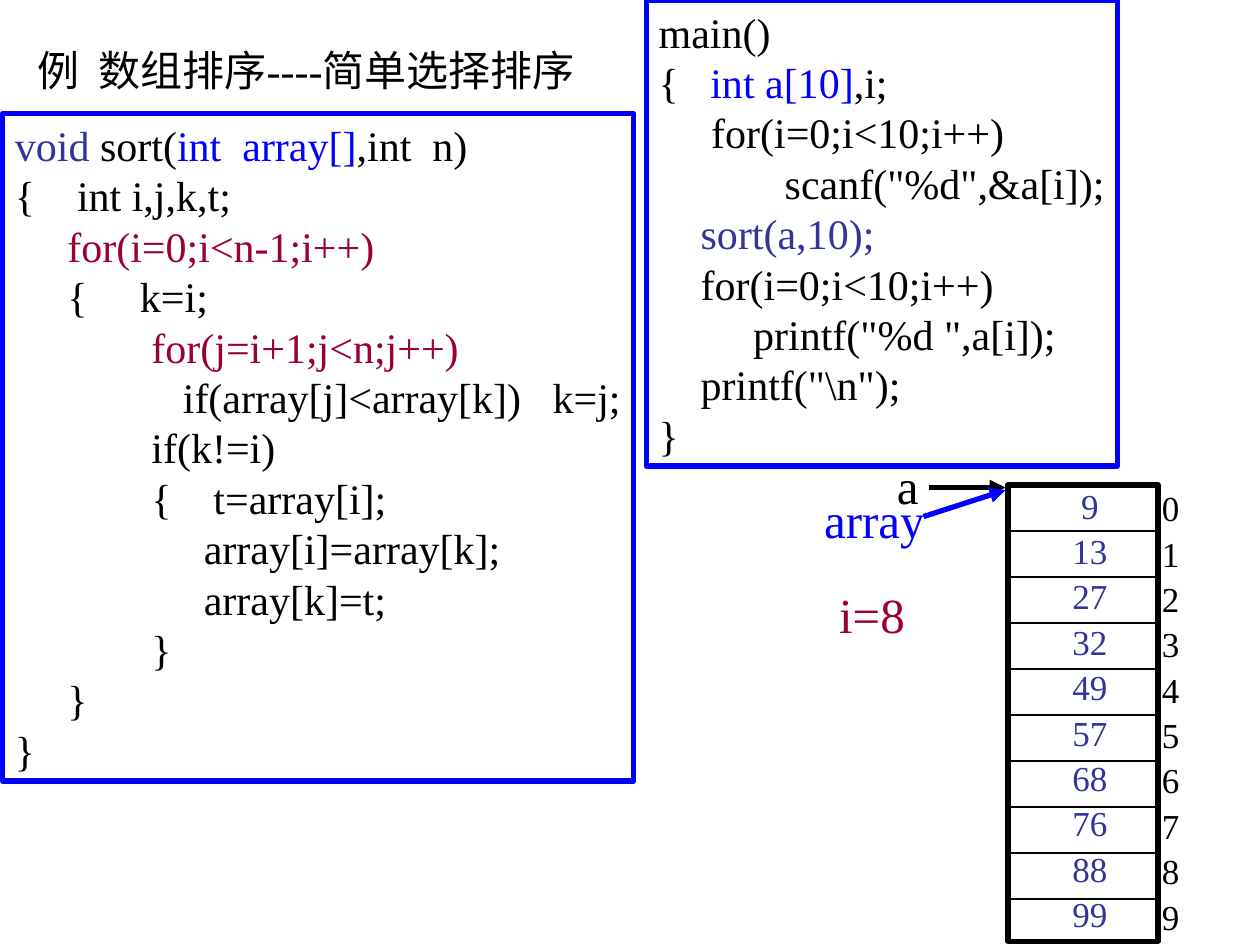
from lxml import etree
from pptx import Presentation
from pptx.dml.color import RGBColor
from pptx.enum import shapes, text
from pptx.oxml import ns
from pptx.util import Inches, Pt

FONT = "Times New Roman"
BLACK, BLUE, NAVY, RED = "000000", "0000FF", "333399", "990033"
hue = RGBColor.from_string


def label(words, x, y, w, h, size, color):
    box = slide.shapes.add_textbox(Inches(x), Inches(y), Inches(w), Inches(h))
    frame = box.text_frame
    frame.word_wrap = False
    frame.vertical_anchor = text.MSO_ANCHOR.MIDDLE
    para = frame.paragraphs[0]
    para.text = words
    para.alignment = text.PP_ALIGN.CENTER
    para.font.name, para.font.size = FONT, Pt(size)
    para.font.color.rgb = hue(color)


def wire(x1, y1, x2, y2, color, width, arrow=False):
    line = slide.shapes.add_connector(
        shapes.MSO_CONNECTOR.STRAIGHT, Inches(x1), Inches(y1), Inches(x2), Inches(y2))
    line.line.color.rgb = hue(color)
    line.line.width = Pt(width)
    if arrow:
        etree.SubElement(line.line._get_or_add_ln(), ns.qn("a:tailEnd"), type="triangle")
    etree.SubElement(line._element.spPr, ns.qn("a:effectLst"))


deck = Presentation()
deck.slide_width, deck.slide_height = Inches(10), Inches(7.5)
slide = deck.slides.add_slide(deck.slide_layouts[5])

title = slide.shapes.title
title.left, title.top = Inches(0.2), Inches(0.3)
title.width, title.height = Inches(4.7), Inches(0.5)
frame = title.text_frame
frame.text = "例  数组排序----简单选择排序"
frame.word_wrap = False
frame.margin_right = Inches(0)
frame.auto_size = text.MSO_AUTO_SIZE.NONE
frame.vertical_anchor = text.MSO_ANCHOR.TOP
para = frame.paragraphs[0]
para.alignment = text.PP_ALIGN.LEFT
para.font.name, para.font.size = FONT, Pt(24)
para.font.color.rgb = hue(BLACK)

sort = [
    [("void", NAVY), (" sort(", BLACK), ("int  array[]", BLUE), (",int  n)", BLACK)],
    [("{    int i,j,k,t;", BLACK)],
    [("     for(i=0;i<n-1;i++)", RED)],
    [("     {     k=i;", BLACK)],
    [("\t for(j=i+1;j<n;j++)", RED)],
    [("\t    if(array[j]<array[k])   k=j;", BLACK)],
    [("\t if(k!=i)", BLACK)],
    [("\t {    t=array[i];", BLACK)],
    [("\t      array[i]=array[k];", BLACK)],
    [("\t      array[k]=t;", BLACK)],
    [("\t }", BLACK)],
    [("     }", BLACK)],
    [("}", BLACK)],
]
main = [
    [("main()", BLACK)],
    [("{  ", BLACK), (" int a[10]", BLUE), (",i;", BLACK)],
    [("     for(i=0;i<10;i++)", BLACK)],
    [('\tscanf("%d",&a[i]);', BLACK)],
    [("    sort(a,10);", NAVY)],
    [("    for(i=0;i<10;i++)", BLACK)],
    [('         printf("%d ",a[i]);', BLACK)],
    [('    printf("\\n");', BLACK)],
    [("}", BLACK)],
]
for code, x, y, w, h in [(sort, 0.02, 0.9, 5.01, 5.3), (main, 5.13, 0, 3.74, 3.7)]:
    box = slide.shapes.add_shape(
        shapes.MSO_SHAPE.RECTANGLE, Inches(x), Inches(y), Inches(w), Inches(h))
    box.shadow.inherit = False
    box.fill.solid()
    box.fill.fore_color.rgb = hue("FFFFFF")
    box.line.color.rgb = hue(BLUE)
    box.line.width = Pt(3)
    frame = box.text_frame
    frame.word_wrap = False
    frame.vertical_anchor = text.MSO_ANCHOR.TOP
    for n, row in enumerate(code):
        para = frame.add_paragraph() if n else frame.paragraphs[0]
        para.alignment = text.PP_ALIGN.LEFT
        tabs = etree.SubElement(para._p.get_or_add_pPr(), ns.qn("a:tabLst"))
        etree.SubElement(tabs, ns.qn("a:tab"), pos=str(Inches(1)), algn="l")
        para.font.name, para.font.size = FONT, Pt(24)
        for words, color in row:
            run = para.add_run()
            run.text = words
            run.font.color.rgb = hue(color)

stack = slide.shapes.add_shape(
    shapes.MSO_SHAPE.RECTANGLE, Inches(8), Inches(3.85), Inches(1.19), Inches(3.62))
stack.shadow.inherit = False
stack.fill.solid()
stack.fill.fore_color.rgb = hue("FFFFFF")
stack.line.color.rgb = hue(BLACK)
stack.line.width = Pt(3)

for n, value in enumerate([9, 13, 27, 32, 49, 57, 68, 76, 88, 99]):
    if n:
        y = 3.85 + 0.365 * n
        wire(8, y, 9.19, y, BLACK, 0.75)
    label(str(value), 8.41, 3.79 + 0.36 * n, 0.48, 0.44, 20, NAVY)
    label(str(n), 9.12, 3.81 + 0.36 * n, 0.34, 0.44, 20, BLACK)

wire(7.37, 3.87, 7.98, 3.87, BLACK, 3, True)
wire(7.33, 4.1, 7.98, 3.89, BLUE, 3, True)
label("a", 7.02, 3.56, 0.37, 0.57, 28, BLACK)
label("array", 6.44, 3.83, 1, 0.57, 28, BLUE)
label("i=8", 6.56, 4.59, 0.72, 0.57, 28, RED)

deck.save("out.pptx")
